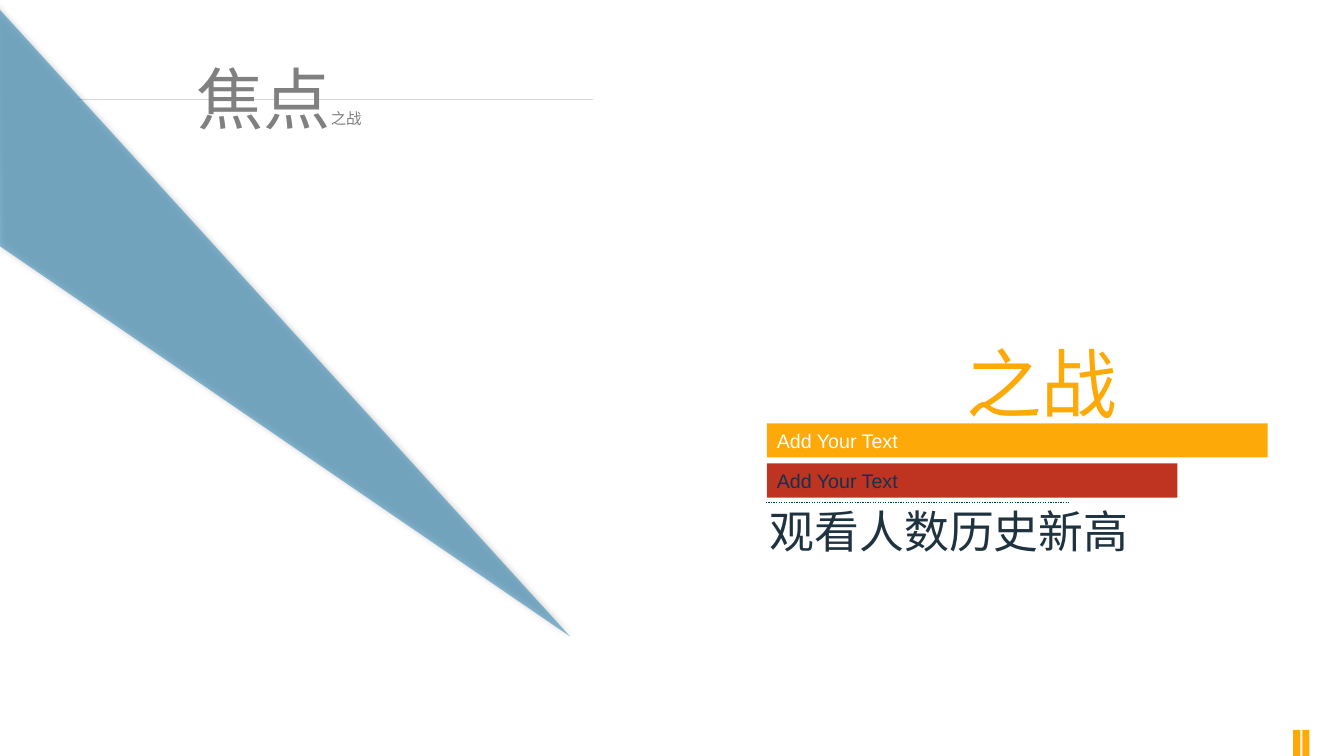
import pptx
import pptx.dml.color
import pptx.enum.dml
import pptx.enum.shapes
import pptx.enum.text
import pptx.oxml
import pptx.oxml.ns
import pptx.util
from pptx.util import Cm

SHAPES = pptx.enum.shapes.MSO_SHAPE
ANCHORS = pptx.enum.text.MSO_ANCHOR
AMBER, RED, NAVY, INK = "FDA907", "BF3420", "103154", "1E3240"
GRAY, PALE, WHITE, BLUE = "808080", "D9D9D9", "FFFFFF", "1A7BAE"


def color(hex_value):
    return pptx.dml.color.RGBColor.from_string(hex_value)


def style_run(run, size, hex_value, font="Arial"):
    run.font.size = pptx.util.Pt(size)
    run.font.name = font
    run.font.color.rgb = color(hex_value)


def add_block(slide, geometry, left, top, width, height, fill):
    block = slide.shapes.add_shape(geometry, Cm(left), Cm(top), Cm(width), Cm(height))
    block.shadow.inherit = False
    block.fill.solid()
    block.fill.fore_color.rgb = color(fill)
    block.line.fill.background()
    return block


def add_label_bar(slide, top, width, fill, text_color):
    bar = add_block(slide, SHAPES.RECTANGLE, 19.33, top, width, 0.86, fill)
    frame = bar.text_frame
    frame.text = "Add Your Text"
    frame.word_wrap = True
    frame.vertical_anchor = ANCHORS.MIDDLE
    label = frame.paragraphs[0]
    label.alignment = pptx.enum.text.PP_ALIGN.LEFT
    style_run(label.runs[0], 14, text_color)


def add_rule(slide, left, right, y, hex_value, dash=None):
    rule = slide.shapes.add_connector(
        pptx.enum.shapes.MSO_CONNECTOR.STRAIGHT, Cm(left), Cm(y), Cm(right), Cm(y))
    rule.line.color.rgb = color(hex_value)
    rule.line.width = pptx.util.Pt(0.9)
    if dash:
        rule.line.dash_style = dash
    rule._element.spPr.append(pptx.oxml.parse_xml(
        f"<a:effectLst {pptx.oxml.ns.nsdecls('a')}/>"))


def add_heading(slide, left, top, width, height, pieces, indent=0.25):
    box = slide.shapes.add_textbox(Cm(left), Cm(top), Cm(width), Cm(height))
    frame = box.text_frame
    frame.word_wrap = True
    frame.margin_left = Cm(indent)
    for text, size, hex_value, font in pieces:
        run = frame.paragraphs[0].add_run()
        run.text = text
        style_run(run, size, hex_value, font)


def add_wedge(slide):
    wedge = add_block(slide, SHAPES.ISOSCELES_TRIANGLE, -5.13, 7.42, 21.54, 4.01, BLUE)
    wedge.adjustments[0] = 0.787
    wedge.rotation = 227.7
    properties = wedge._element.spPr
    names = pptx.oxml.ns.nsdecls("a")
    tint = properties.find(".//" + pptx.oxml.ns.qn("a:srgbClr"))
    tint.append(pptx.oxml.parse_xml(f'<a:alpha {names} val="50000"/>'))
    effects = properties.find(pptx.oxml.ns.qn("a:effectLst"))
    effects.append(pptx.oxml.parse_xml(
        f'<a:outerShdw {names} blurRad="63500" dist="0" dir="0" algn="ctr" rotWithShape="0">'
        '<a:srgbClr val="000000"><a:alpha val="40000"/></a:srgbClr></a:outerShdw>'))


def main():
    deck = pptx.Presentation()
    deck.slide_width, deck.slide_height = Cm(33.87), Cm(19.05)
    slide = deck.slides.add_slide(deck.slide_layouts[6])
    for left in (32.82, 32.59):
        add_block(slide, SHAPES.RECTANGLE, left, 18.39, 0.18, 0.66, AMBER)
    add_rule(slide, 1.93, 14.94, 2.51, PALE)
    add_wedge(slide)
    add_heading(slide, 18.97, 8.36, 10.69, 2.57, [("之战", 54, AMBER, "Arial")], 5.38)
    add_rule(slide, 19.3, 26.92, 12.67, NAVY, pptx.enum.dml.MSO_LINE.ROUND_DOT)
    add_label_bar(slide, 10.67, 12.62, AMBER, WHITE)
    add_label_bar(slide, 11.68, 10.34, RED, NAVY)
    add_heading(slide, 19.15, 12.57, 9.93, 1.63, [("观看人数历史新高", 32, INK, "Arial")])
    add_heading(slide, 4.7, 1.32, 9.12, 1.5, [
        ("焦点", 48, GRAY, "Noto Sans CJK SC"), ("之战", 11, GRAY, "Noto Sans CJK SC")])
    deck.save("out.pptx")


if __name__ == "__main__":
    main()
